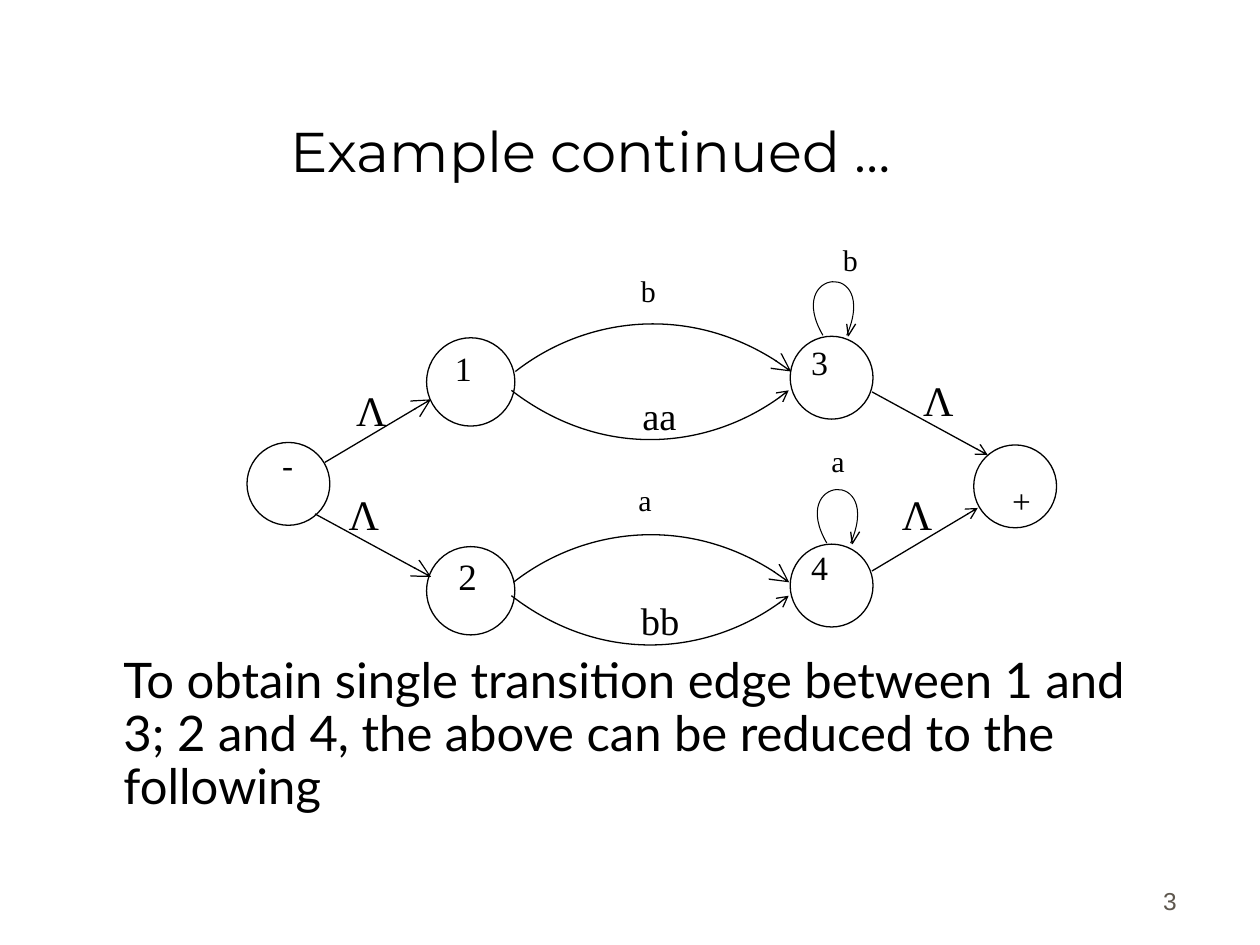
from lxml.etree import SubElement
from pptx import Presentation
from pptx.dml.color import RGBColor
from pptx.enum.shapes import MSO_CONNECTOR, MSO_SHAPE
from pptx.enum.text import MSO_ANCHOR, PP_ALIGN
from pptx.oxml.ns import qn
from pptx.util import Cm, Pt

# Theme: colours, fonts, type sizes and line widths
THEME = {
    "ink": RGBColor(0, 0, 0),
    "paper": RGBColor(255, 255, 255),
    "muted": RGBColor(0x5E, 0x57, 0x4E),
    "heading": "Montserrat", "body": "Lato", "diagram": "Times New Roman", "number": "Arial",
    "line": 0.75, "loop line": 0.6,
}
STYLES = {
    "title": {"font": "heading", "size": 32, "align": PP_ALIGN.CENTER, "anchor": MSO_ANCHOR.BOTTOM},
    "body": {"font": "body", "size": 28, "spacing": 0.9},
    "page": {"font": "number", "size": 14, "color": "muted",
             "align": PP_ALIGN.RIGHT, "anchor": MSO_ANCHOR.BOTTOM},
    "state": {"size": 19.4, "spacing": 0.8},
    "state 2": {"size": 21.2, "spacing": 0.9},
    "sign": {"size": 18.9, "spacing": 0.8},
    "letter": {"size": 17.1, "spacing": 0.8},
    "pair": {"size": 22},
    "lambda": {"size": 24, "wrap": False},
}

# Content, all lengths in centimetres
BLOCKS = [  # text, style, left, top, width, height
    ("Example continued …", "title", 1.12, 0.64, 21.59, 3.18),
    ("To obtain single transition edge between 1 and 3; 2 and 4, "
     "the above can be reduced to the following", "body", 2.24, 13.11, 21.74, 3.71),
    ("3", "page", 18.69, 17.3, 5.28, 1.27),
]
STATES = [  # left, top, diameter
    (4.98, 8.92, 1.67), (8.6, 6.81, 1.78), (8.6, 11.02, 1.78),
    (15.93, 6.78, 1.67), (15.93, 10.97, 1.67), (19.63, 8.97, 1.67),
]
LABEL_SIZES = {"state": (2.59, 1.07), "state 2": (2.59, 1.22), "sign": (2.59, 1.07),
               "letter": (1.04, 1.02), "pair": (1.7, 1.27), "lambda": (1.12, 1.27)}
LABELS = [  # text, style, left, top, rotation
    ("-", "sign", 5.44, 8.99, 0), ("+", "sign", 18.44, 9.47, 180),
    ("1", "state", 8.92, 7.04, 0), ("2", "state 2", 8.99, 11.13, 0),
    ("3", "state", 16.1, 6.93, 0), ("4", "state", 16.1, 11.05, 0),
    ("b", "letter", 12.67, 5.51, 0), ("aa", "pair", 12.7, 7.77, 0),
    ("a", "letter", 12.62, 9.73, 0), ("bb", "pair", 12.67, 11.91, 0),
    ("b", "letter", 16.74, 4.88, 0), ("a", "letter", 16.51, 8.94, 0),
    ("Λ", "lambda", 6.93, 7.62, 0), ("Λ", "lambda", 6.78, 9.73, 0),
    ("Λ", "lambda", 18.36, 7.42, 0), ("Λ", "lambda", 17.93, 9.73, 0),
]
EDGES = [  # start x, start y, end x, end y, arrowhead size
    (6.55, 9.32, 8.69, 8.05, "lg"), (6.35, 10.36, 8.69, 11.63, "lg"),
    (17.58, 7.9, 19.91, 9.17, "med"), (17.58, 11.51, 19.71, 10.24, "med"),
]
UPPER_ARC = [(10.39, 7.49), (11.81, 6.38), (14.12, 6.1), (15.95, 7.49)]
LOWER_ARC = [(10.31, 7.87), (12.17, 9.3), (14.48, 9.02), (15.9, 7.87)]
LOOP = [(16.59, 6.76), (15.8, 5.41), (17.73, 5.23), (17.07, 6.76)]
LOOP_HEAD = [(17.07, 6.53), (17.1, 6.77), (17.25, 6.53)]
CURVES = [  # points, line width, arrowhead size, curved, shift of the second row
    (UPPER_ARC, "line", "lg", True, (-0.04, 4.25)),
    (LOWER_ARC, "line", "med", True, (0, 4.14)),
    (LOOP, "loop line", None, True, (0.08, 4.19)),
    (LOOP_HEAD, "line", None, False, (0.08, 4.19)),
]


def set_values(target, values):
    for name, value in values.items():
        if value is not None:
            setattr(target, name, value)


def add_text(slide, text, style_name, left, top, width, height, rotation=0):
    style = STYLES[style_name]
    shape = slide.shapes.add_textbox(Cm(left), Cm(top), Cm(width), Cm(height))
    shape.rotation = rotation
    frame = shape.text_frame
    set_values(frame, {"word_wrap": style.get("wrap", True),
                       "vertical_anchor": style.get("anchor", MSO_ANCHOR.TOP)})
    paragraph = frame.paragraphs[0]
    set_values(paragraph, {"alignment": style.get("align", PP_ALIGN.LEFT),
                           "line_spacing": style.get("spacing")})
    run = paragraph.add_run()
    run.text = text
    set_values(run.font, {"name": THEME[style.get("font", "diagram")], "size": Pt(style["size"])})
    run.font.color.rgb = THEME[style.get("color", "ink")]


def style_line(shape, width="line", head=None):
    shape.line.color.rgb = THEME["ink"]
    shape.line.width = Pt(THEME[width])
    if head:
        properties = shape.line._get_or_add_ln()
        SubElement(properties, qn("a:tailEnd"), type="arrow", w=head, len=head)


def add_curve(slide, points, width, head, curved, shift):
    start, *others = [(Cm(x + shift[0]), Cm(y + shift[1])) for x, y in points]
    builder = slide.shapes.build_freeform(*start)
    builder.add_line_segments(others, close=False)
    shape = builder.convert_to_shape()
    shape.shadow.inherit = False
    shape.fill.background()
    style_line(shape, width, head)
    if curved:  # the three points after the start become one cubic segment
        outline = next(shape._element.iter(qn("a:path")))
        segments = outline.findall(qn("a:lnTo"))
        cubic = SubElement(outline, qn("a:cubicBezTo"))
        for segment in segments:
            cubic.append(segment[0])
            outline.remove(segment)


def main():
    presentation = Presentation()
    set_values(presentation, {"slide_width": Cm(25.4), "slide_height": Cm(19.05)})
    slide = presentation.slides.add_slide(presentation.slide_layouts[6])

    # Title, explanation and page number
    for block in BLOCKS:
        add_text(slide, *block)

    # States
    for left, top, diameter in STATES:
        circle = slide.shapes.add_shape(MSO_SHAPE.OVAL, Cm(left), Cm(top), Cm(diameter), Cm(diameter))
        circle.shadow.inherit = False
        circle.fill.solid()
        circle.fill.fore_color.rgb = THEME["paper"]
        style_line(circle)

    # Straight transitions
    for *ends, head in EDGES:
        edge = slide.shapes.add_connector(MSO_CONNECTOR.STRAIGHT, *map(Cm, ends))
        SubElement(edge._element.spPr, qn("a:effectLst"))
        style_line(edge, head=head)

    # Arcs and loops, the same in both rows
    for points, width, head, curved, second_row in CURVES:
        for shift in ((0, 0), second_row):
            add_curve(slide, points, width, head, curved, shift)

    # State names and transition labels
    for text, style_name, left, top, rotation in LABELS:
        add_text(slide, text, style_name, left, top, *LABEL_SIZES[style_name], rotation)

    presentation.save("out.pptx")


if __name__ == "__main__":
    main()
